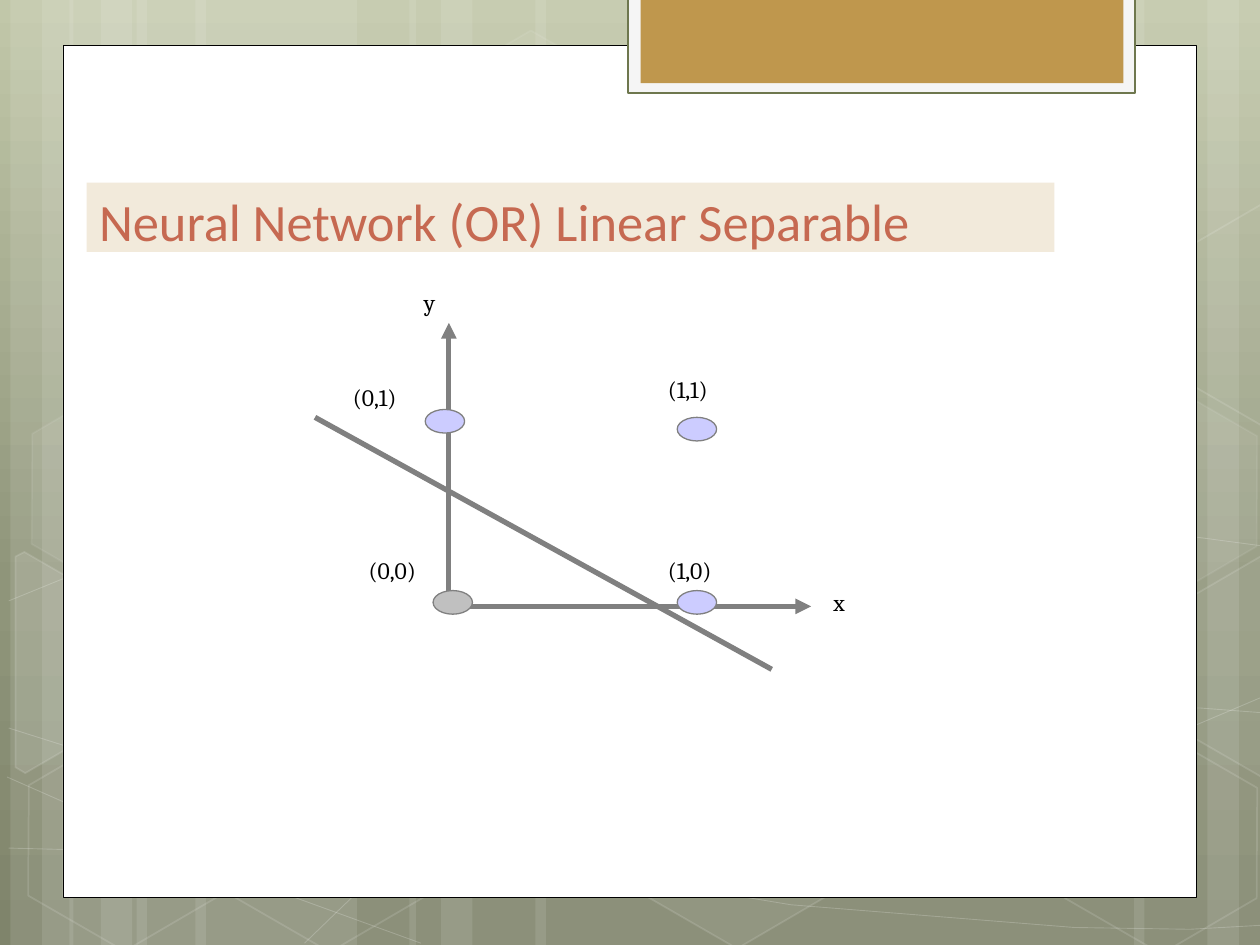
from copy import deepcopy

from lxml.etree import SubElement
from pptx import Presentation
from pptx.dml.color import RGBColor
from pptx.enum.shapes import MSO_CONNECTOR as Connector, MSO_SHAPE as Shape
from pptx.enum.text import MSO_ANCHOR as Anchor, PP_ALIGN as Align
from pptx.oxml.ns import qn
from pptx.util import Pt

WHITE = RGBColor(0xFF, 0xFF, 0xFF)
BLACK = RGBColor(0, 0, 0)
GREY = RGBColor(0x80, 0x80, 0x80)
SILVER = RGBColor(0xC0, 0xC0, 0xC0)
LILAC = RGBColor(0xCC, 0xCC, 0xFF)
PALE = RGBColor(0xF5, 0xF5, 0xF5)
OLIVE = RGBColor(0x6E, 0x77, 0x4E)
GOLD = RGBColor(0xBF, 0x97, 0x4D)
CREAM = RGBColor(0xF2, 0xEA, 0xDB)
RUST = RGBColor(0xC6, 0x69, 0x51)
SKY = [(0, RGBColor(0xC1, 0xC7, 0xA9)), (0.62, RGBColor(0x8F, 0x95, 0x7A)),
       (1, RGBColor(0x7F, 0x84, 0x6B))]

# Backdrop strips: left, width
STRIPS = [(78, 126), (6, 36), (24, 60), (111.6, 126), (39.6, 36), (57.6, 60),
          (528, 126), (690, 36), (648, 60), (306, 222), (234, 36), (252, 60)]
# Backdrop curves
CURVES = [
    [(5, 484.6), (137, 488), (330, 478.8), (570, 444), (670, 420), (725, 396.7)],
    [(5, 343.4), (87, 310), (250, 278.6), (471, 278.6), (725, 312.5)],
    [(4, 444), (122, 496), (240.5, 539)],
    [(5, 416), (92, 443.5), (257, 484.6), (452, 517), (614, 530), (680, 531),
     (725, 528.5)],
    [(174, 539), (217, 497.5), (279, 460), (338, 438.5), (438, 416), (490, 409.7),
     (572, 404.6), (686, 404.6), (724, 407.5)],
]
# Hexagons: left, top, fill opacity, line opacity
HEXAGONS = [(240.5, 26, 4, 8), (358, 424, 6, 12), (8, 425.5, None, 12),
            (10, 224.6, 7, 8), (125.3, 426, None, 12), (542, 326, 10, 12),
            (600.5, 427, None, 12), (600.5, 226, 7, 8)]
# Hexagon cut by the page edge: corners around its centre
CUT_CORNERS = [(-49.2, -0.9), (-18.2, -55), (-11.7, -54.9), (48.5, 49.4),
               (45.4, 54.2), (-17.4, 54.2)]
# Cut hexagons: centre, side they face, fill opacity
CUT_HEXAGONS = [(25.9, 385.2, -1, 10), (709.2, 374.4, 1, 4), (709.2, 173.5, 1, None)]
# Plotted points: label, label corner, dot corner, dot colour
POINTS = [("(1,0)", (193.5, 153), (207, 175.5), LILAC),
          ("(0,0)", (22.5, 153), (67.5, 175.5), SILVER),
          ("(0,1)", (13.5, 54), (63, 72), LILAC),
          ("(1,1)", (193.5, 49.5), (207, 76.5), LILAC)]


def fade(holder, percent):
    color = holder.find(qn("a:solidFill")).find(qn("a:srgbClr"))
    SubElement(color, qn("a:alpha")).set("val", str(percent * 1000))


def paint(shape, fill=None, line=None, width=1, fill_alpha=None, line_alpha=None):
    shape.shadow.inherit = False
    shape.fill.background()
    shape.line.fill.background()
    if fill is not None:
        shape.fill.solid()
        shape.fill.fore_color.rgb = fill
    if line is not None:
        shape.line.color.rgb = line
        shape.line.width = Pt(width)
    if fill_alpha:
        fade(shape.element.spPr, fill_alpha)
    if line_alpha:
        fade(shape.element.spPr.find(qn("a:ln")), line_alpha)
    return shape


def add_shape(page, kind, box, **look):
    return paint(page.shapes.add_shape(kind, *map(Pt, box)), **look)


def add_outline(page, left, top, points, close, **look):
    corners = [(Pt(left + x), Pt(top + y)) for x, y in points]
    builder = page.shapes.build_freeform(*corners[0])
    builder.add_line_segments(corners[1:], close=close)
    return paint(builder.convert_to_shape(), **look)


def add_line(page, box, start, end, arrow=False):
    ends = [Pt(box[i] + point[i]) for point in (start, end) for i in (0, 1)]
    line = page.shapes.add_connector(Connector.STRAIGHT, *ends)
    line.line.color.rgb = GREY
    line.line.width = Pt(3)
    properties = line._element.spPr
    if arrow:
        SubElement(properties.find(qn("a:ln")), qn("a:tailEnd")).set("type", "triangle")
    SubElement(properties, qn("a:effectLst"))


def format_text(para, text, font, size, color):
    para.text = text
    para.alignment = Align.LEFT
    for span in para.runs:
        span.font.name, span.font.size, span.font.color.rgb = font, Pt(size), color


def add_label(page, box, text, corner, width):
    label = page.shapes.add_textbox(
        Pt(box[0] + corner[0]), Pt(box[1] + corner[1]), Pt(width), Pt(21.6))
    frame = label.text_frame
    frame.word_wrap = True
    frame.margin_left, frame.margin_right = Pt(8.2), Pt(5.8)
    frame.margin_top = frame.margin_bottom = Pt(2.8)
    format_text(frame.paragraphs[0], text, "Cambria", 13.5, BLACK)


def draw_backdrop(page, box):
    left, top, _, height = box
    # Vertical gradient with three stops
    fill = page.background.fill
    fill.gradient()
    fill.gradient_angle = 270
    stop_list = page.element.find(".//" + qn("a:gsLst"))
    stop_list.append(deepcopy(stop_list[-1]))
    for stop, (position, color) in zip(fill.gradient_stops, SKY):
        stop.position, stop.color.rgb = position, color
    # Strips and curves
    for x, width in STRIPS:
        add_shape(page, Shape.RECTANGLE, (left + x, top, width, height),
                  fill=WHITE, fill_alpha=10)
    for points in CURVES:
        add_outline(page, left, top, points, False, line=WHITE, width=0.5, line_alpha=20)
    # Whole and cut hexagons
    for x, y, opacity, line_alpha in HEXAGONS:
        hexagon = add_shape(page, Shape.HEXAGON, (left + x, top + y, 126, 109.5),
                            fill=WHITE if opacity else None, fill_alpha=opacity,
                            line=WHITE, line_alpha=line_alpha)
        hexagon.adjustments[0], hexagon.adjustments[1] = 0.285, 1.155
        hexagon.rotation = 30
    for x, y, side, opacity in CUT_HEXAGONS:
        corners = [(side * dx, side * dy) for dx, dy in CUT_CORNERS]
        add_outline(page, left + x, top + y, corners, True,
                    fill=WHITE if opacity else None, fill_alpha=opacity,
                    line=WHITE, line_alpha=12).rotation = 30


def draw_card(page, box):
    add_shape(page, Shape.RECTANGLE, box, fill=WHITE, line=BLACK, width=0.5)


def draw_tab(page, box):
    left, top, width, height = box
    add_shape(page, Shape.RECTANGLE, box, fill=PALE, line=OLIVE, width=1.25)
    add_shape(page, Shape.RECTANGLE, (left + 7, top, width - 13.5, height - 5.7), fill=GOLD)


def draw_title(page, box):
    frame = add_shape(page, Shape.RECTANGLE, box, fill=CREAM).text_frame
    frame.word_wrap = True
    frame.vertical_anchor = Anchor.TOP
    format_text(frame.paragraphs[0], "Neural Network (OR) Linear Separable",
                "Calibri", 30, RUST)


def draw_plot(page, box):
    left, top, _, height = box
    # Axes
    origin = (76.5, 184.5)
    for name, tip, corner in (("y", (76.5, 22.5), (54, -0.3)),
                              ("x", (283.5, 184.5), (288, 171))):
        add_line(page, box, origin, tip, arrow=True)
        add_label(page, box, name, corner, 49.5)
    # Points
    for text, corner, (x, y), color in POINTS:
        add_shape(page, Shape.OVAL, (left + x, top + y, 22.5, 13.5),
                  fill=color, line=GREY, width=0.75)
        add_label(page, box, text, corner, 63)
    # Separating line
    add_line(page, box, (0, 76.5), (261, height))


deck = Presentation()
deck.slide_width, deck.slide_height = Pt(720), Pt(540)
slide = deck.slides.add_slide(deck.slide_layouts[6])
draw_backdrop(slide, (0, 0, 720, 540))
draw_card(slide, (36, 26, 648, 487))
draw_tab(slide, (359, -1.5, 289.5, 54.7))
draw_title(slide, (49.5, 104.4, 553, 39.6))
draw_plot(slide, (180, 162, 337.5, 220.5))
deck.save("out.pptx")
